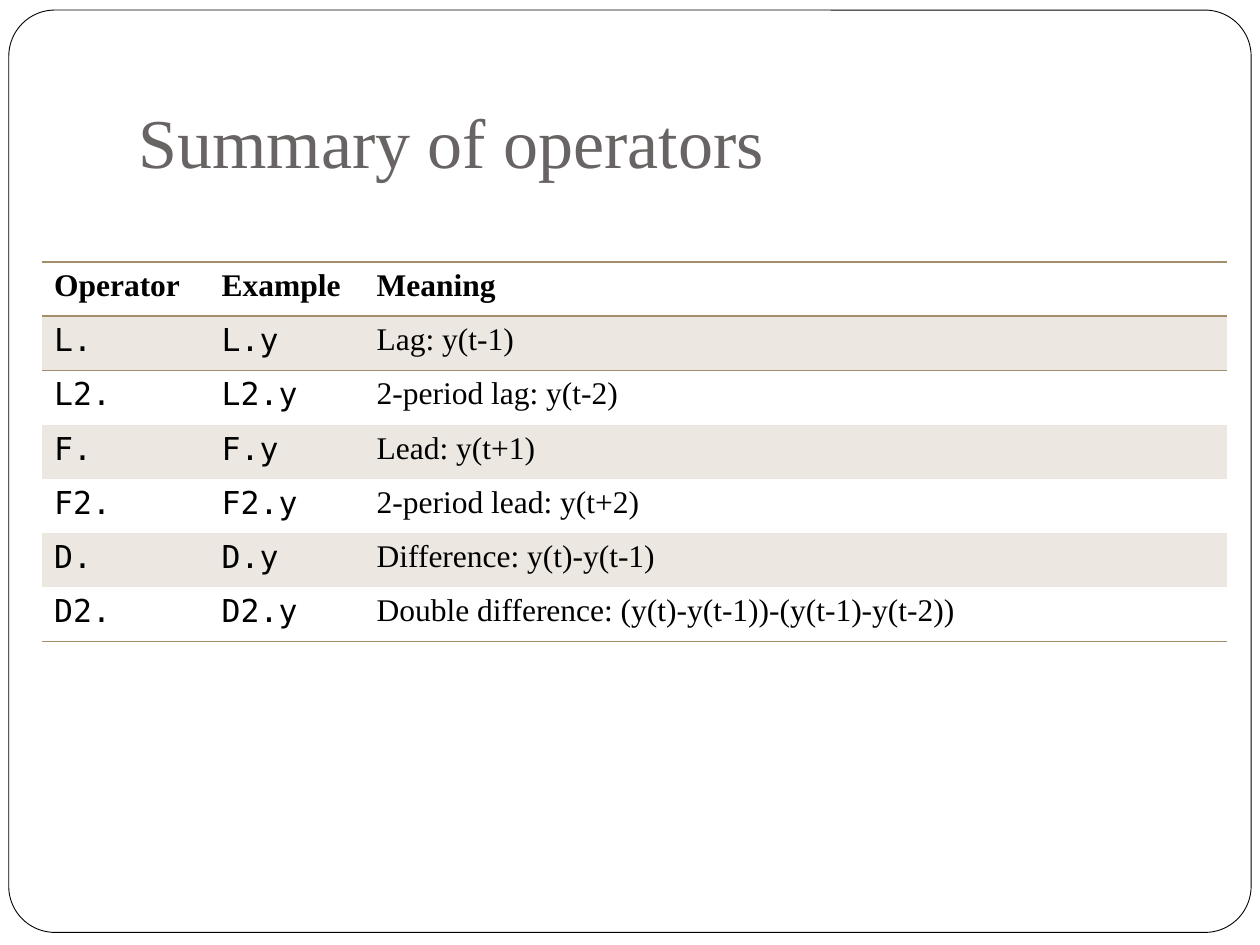
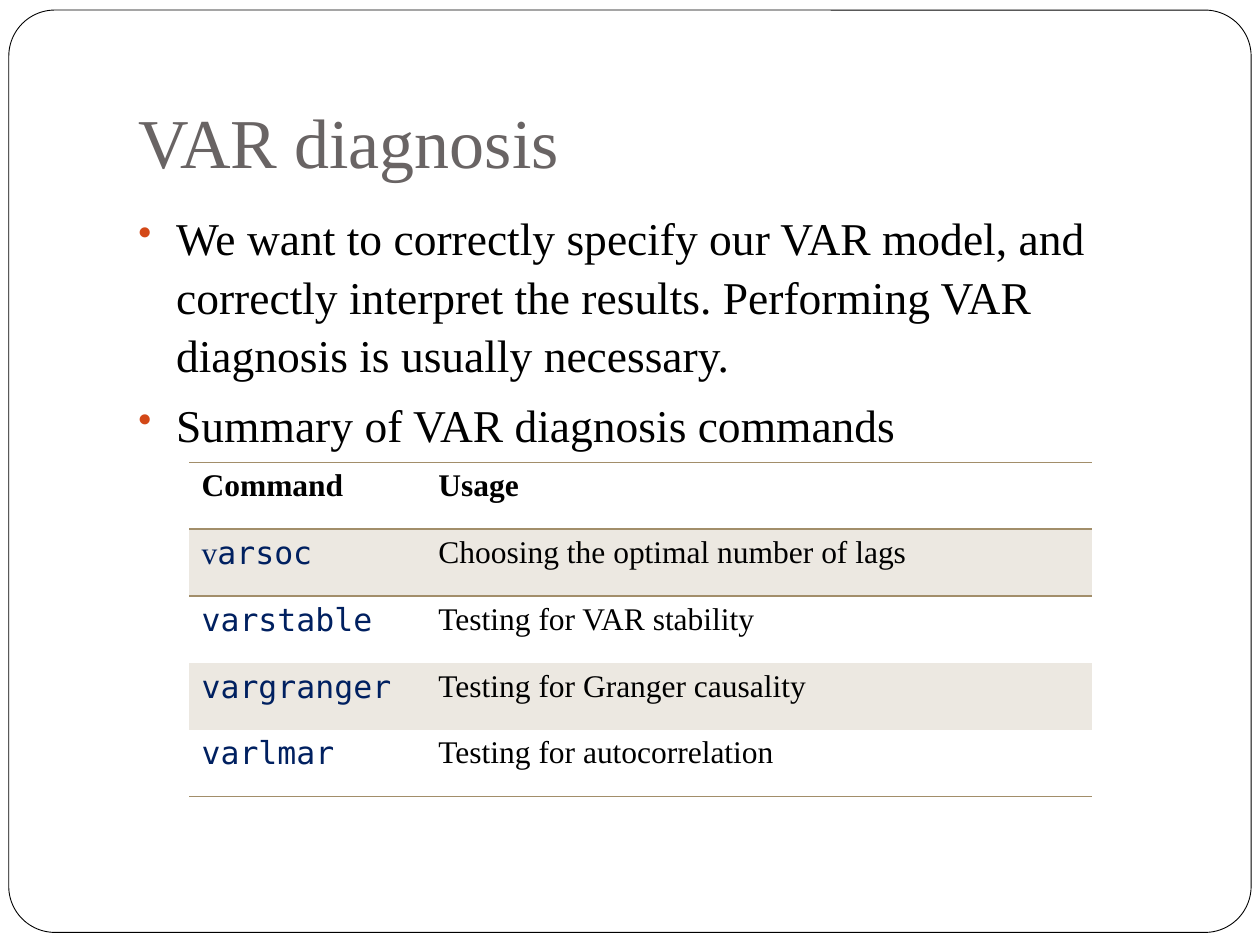
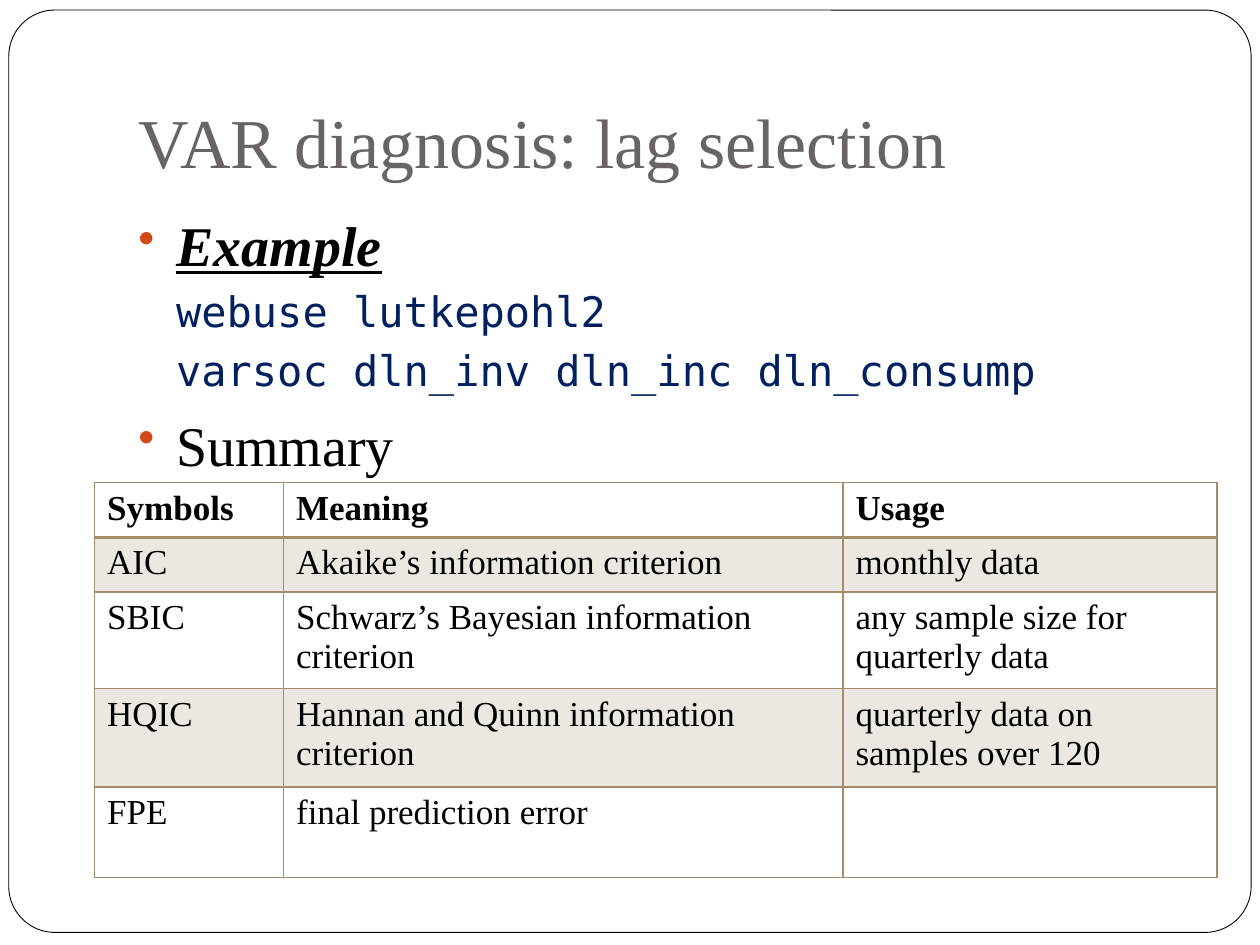
import dataclasses

import lxml.etree
import pptx
import pptx.dml.color
import pptx.enum.shapes
import pptx.enum.text
import pptx.oxml.ns
import pptx.util

Inches = pptx.util.Inches
Pt = pptx.util.Pt
RGBColor = pptx.dml.color.RGBColor
qn = pptx.oxml.ns.qn

WHITE = RGBColor(0xFF, 0xFF, 0xFF)
BLACK = RGBColor(0x00, 0x00, 0x00)
TITLE_GRAY = RGBColor(0x69, 0x64, 0x64)
COMMAND_NAVY = RGBColor(0x00, 0x20, 0x60)
BULLET_ORANGE = RGBColor(0xD3, 0x48, 0x17)
RULE_TAN = RGBColor(0xA2, 0x8E, 0x6A)
BAND_TAN = RGBColor(0xEC, 0xE8, 0xE1)

SERIF = "Times New Roman"
MONO = "DejaVu Sans Mono"
TITLE_ONLY = 5
PLAIN_TABLE_STYLE = "{2D5ABB26-0587-4C30-8999-92F81FD0307C}"
TITLE_BOX = (1, 0.3, 8.5, 1.25)
BODY_BOX = (1, 1.58, 8.5, 5)
TEXT_INDENT = 0.3


@dataclasses.dataclass(frozen=True)
class TextStyle:
    size: float
    font: str = SERIF
    color: RGBColor = BLACK
    bold: bool = False
    italic: bool = False
    underline: bool = False


TITLE = TextStyle(40, color=TITLE_GRAY)
CELL = TextStyle(18)
OPERATOR = TextStyle(18, MONO)
COMMAND = TextStyle(18, MONO, COMMAND_NAVY)
COMMAND_SERIF = TextStyle(18, color=COMMAND_NAVY)
CRITERION = TextStyle(20)
POINT = TextStyle(26)
HEADING = TextStyle(32)
EXAMPLE_HEADING = TextStyle(32, bold=True, italic=True, underline=True)
CODE = TextStyle(24, MONO, COMMAND_NAVY)


def write(paragraph, text, style):
    run = paragraph.add_run()
    run.text = text
    font = run.font
    font.size = Pt(style.size)
    font.name = style.font
    font.color.rgb = style.color
    font.bold = style.bold
    font.italic = style.italic
    font.underline = style.underline


def place(shape, box):
    shape.left, shape.top, shape.width, shape.height = map(Inches, box)


def add_frame(slide):
    """Draw the rounded page border behind everything else."""
    frame = slide.shapes.add_shape(
        pptx.enum.shapes.MSO_SHAPE.ROUNDED_RECTANGLE,
        *map(Inches, (0.07, 0.08, 9.86, 7.32)))
    frame.adjustments[0] = 0.05
    frame.shadow.inherit = False
    frame.fill.solid()
    frame.fill.fore_color.rgb = WHITE
    frame.line.color.rgb = BLACK
    frame.line.width = Pt(0.5)
    slide.shapes.element.insert(2, frame.element)


def add_titled_slide(deck, heading):
    slide = deck.slides.add_slide(deck.slide_layouts[TITLE_ONLY])
    add_frame(slide)
    title = slide.shapes.title
    place(title, TITLE_BOX)
    text_frame = title.text_frame
    text_frame.vertical_anchor = pptx.enum.text.MSO_ANCHOR.BOTTOM
    text_frame.margin_bottom = Inches(0.1)
    paragraph = text_frame.paragraphs[0]
    paragraph.alignment = pptx.enum.text.PP_ALIGN.LEFT
    write(paragraph, heading, TITLE)
    return slide


def set_indent(paragraph, bulleted):
    properties = paragraph._p.get_or_add_pPr()
    properties.set("marL", str(Inches(TEXT_INDENT)))
    properties.set("indent", str(-Inches(TEXT_INDENT) if bulleted else 0))
    if bulleted:
        color = lxml.etree.SubElement(properties, qn("a:buClr"))
        lxml.etree.SubElement(color, qn("a:srgbClr"), val=str(BULLET_ORANGE))
        lxml.etree.SubElement(properties, qn("a:buSzPct"), val="85000")
        lxml.etree.SubElement(properties, qn("a:buChar"), char="•")


def add_body(slide, box, lines):
    """Write (text, style) lines; all but the code lines get a bullet."""
    text_frame = slide.shapes.add_textbox(*map(Inches, box)).text_frame
    text_frame.word_wrap = True
    for index, (text, style) in enumerate(lines):
        paragraph = text_frame.add_paragraph() if index else text_frame.paragraphs[0]
        bulleted = style is not CODE
        paragraph.line_spacing = 1.08 if bulleted else 1.03
        if index:
            paragraph.space_before = Pt(5.8 if bulleted else 3.7)
        set_indent(paragraph, bulleted)
        write(paragraph, text, style)


def set_borders(cell, widths):
    """Rule the cell's sides; widths maps L, R, T or B to points."""
    properties = cell._tc.get_or_add_tcPr()
    for side in "LRTB":
        if side in widths:
            line = lxml.etree.SubElement(
                properties, qn(f"a:ln{side}"), w=str(Pt(widths[side])))
            fill = lxml.etree.SubElement(line, qn("a:solidFill"))
            lxml.etree.SubElement(fill, qn("a:srgbClr"), val=str(RULE_TAN))


def border_widths(row, last_row, gridded):
    if gridded:
        return {"L": 1, "R": 1, "T": 2 if row == 1 else 1, "B": 2 if row == 0 else 1}
    widths = {"T": 1} if row in (0, 1) else {}
    if row in (0, last_row):
        widths["B"] = 1
    return widths


def add_banded_table(slide, corner, widths, heights, rows, styles, gridded=False):
    """Build a table with a bold header and tinted odd rows, one style a column.

    A cell is a string, or a list of (text, style) pairs.
    """
    box = (*corner, sum(widths), sum(heights))
    holder = slide.shapes.add_table(len(rows), len(widths), *map(Inches, box))
    holder.element.find(".//" + qn("a:tableStyleId")).text = PLAIN_TABLE_STYLE
    table = holder.table
    for column, width in zip(table.columns, widths):
        column.width = Inches(width)
    for row, (height, contents) in enumerate(zip(heights, rows)):
        table.rows[row].height = Inches(height)
        for column, content in enumerate(contents):
            cell = table.cell(row, column)
            set_borders(cell, border_widths(row, len(rows) - 1, gridded))
            if row % 2:
                cell.fill.solid()
                cell.fill.fore_color.rgb = BAND_TAN
            else:
                cell.fill.background()
            style = styles[column]
            if row == 0:
                style = TextStyle(style.size, bold=True)
            runs = [(content, style)] if isinstance(content, str) else content
            for text, run_style in runs:
                if text:
                    write(cell.text_frame.paragraphs[0], text, run_style)


def add_operators_slide(deck):
    slide = add_titled_slide(deck, "Summary of operators")
    meanings = {
        "L.": "Lag: y(t‐1)",
        "L2.": "2‐period lag: y(t‐2)",
        "F.": "Lead: y(t+1)",
        "F2.": "2‐period lead: y(t+2)",
        "D.": "Difference: y(t)‐y(t‐1)",
        "D2.": "Double difference: (y(t)‐y(t‐1))‐(y(t‐1)‐y(t‐2))",
    }
    rows = [("Operator", "Example", "Meaning")]
    rows += [(operator, operator + "y", meaning)
             for operator, meaning in meanings.items()]
    add_banded_table(slide, (0.33, 2.08), (1.33, 1.23, 6.85), [0.43] * len(rows),
                     rows, (OPERATOR, OPERATOR, CELL))


def add_diagnosis_slide(deck):
    slide = add_titled_slide(deck, "VAR diagnosis")
    add_body(slide, BODY_BOX, [
        ("We want to correctly specify our VAR model, and correctly interpret "
         "the results. Performing VAR diagnosis is usually necessary.", POINT),
        ("Summary of VAR diagnosis commands", POINT),
    ])
    rows = [
        ("Command", "Usage"),
        ([("v", COMMAND_SERIF), ("arsoc", COMMAND)],
         "Choosing the optimal number of lags"),
        ("varstable", "Testing for VAR stability"),
        ("vargranger", "Testing for Granger causality"),
        ("varlmar", "Testing for autocorrelation"),
    ]
    add_banded_table(slide, (1.5, 3.67), (1.88, 5.29), [0.53] * len(rows),
                     rows, (COMMAND, CELL))


def add_lag_selection_slide(deck):
    slide = add_titled_slide(deck, "VAR diagnosis: lag selection")
    add_body(slide, BODY_BOX, [
        ("Example", EXAMPLE_HEADING),
        ("webuse lutkepohl2", CODE),
        ("varsoc dln_inv dln_inc dln_consump", CODE),
        ("Summary", HEADING),
    ])
    rows = [
        ("Symbols", "Meaning", "Usage"),
        ("AIC", "Akaike’s information criterion", "monthly data"),
        ("SBIC", "Schwarz’s Bayesian information criterion",
         "any sample size for quarterly data"),
        ("HQIC", "Hannan and Quinn information criterion",
         "quarterly data on samples over 120"),
        ("FPE", "final prediction error", ""),
    ]
    add_banded_table(slide, (0.75, 3.83), (1.5, 4.44, 2.97),
                     (0.42, 0.42, 0.72, 0.78, 0.72), rows, [CRITERION] * 3,
                     gridded=True)


def main():
    deck = pptx.Presentation()
    deck.slide_width, deck.slide_height = Inches(10), Inches(7.5)
    add_operators_slide(deck)
    add_diagnosis_slide(deck)
    add_lag_selection_slide(deck)
    deck.save("out.pptx")


if __name__ == "__main__":
    main()
